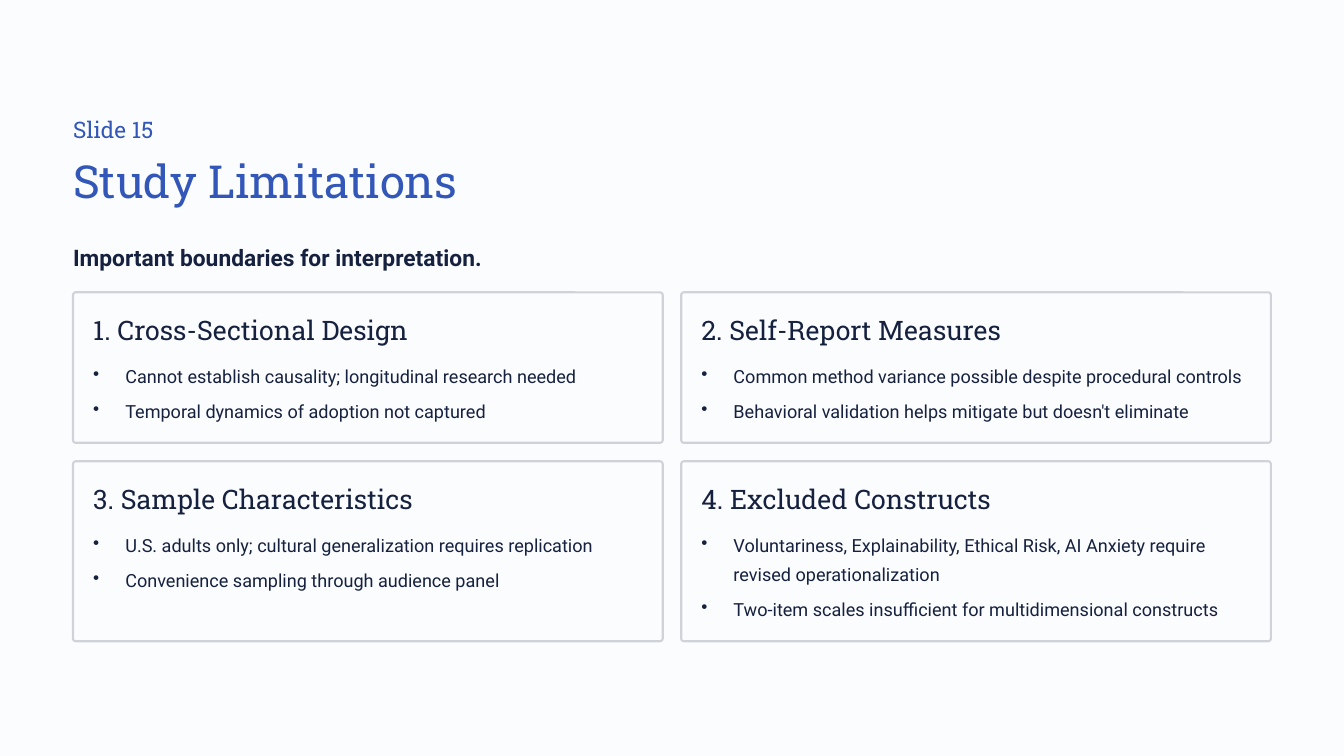
import dataclasses

import pptx
import pptx.dml.color
import pptx.enum.shapes
import pptx.enum.text
import pptx.oxml
import pptx.oxml.ns
import pptx.util

Cm = pptx.util.Cm
Pt = pptx.util.Pt


@dataclasses.dataclass(frozen=True)
class TextStyle:
    font: str
    size: float
    line: float
    color: str
    bold: bool = False


@dataclasses.dataclass(frozen=True)
class Theme:
    paper: str = "FBFCFE"
    border: str = "CFD2D8"
    label: TextStyle = TextStyle("Roboto Slab", 19.5, 24, "3257B8")
    title: TextStyle = TextStyle("Roboto Slab", 39, 48.5, "3257B8")
    lead: TextStyle = TextStyle("Roboto", 19.5, 31, "15213F", True)
    heading: TextStyle = TextStyle("Roboto Slab", 23, 29, "15213F")
    bullet: TextStyle = TextStyle("Roboto", 15.5, 25, "15213F")


THEME = Theme()

# Lengths in centimetres
LEFT = 2.21
CONTENT_WIDTH = 36.22
GRID_TOP = 8.84
GAP = 0.56
CARD_WIDTH = (CONTENT_WIDTH - GAP) / 2
PADDING = 0.61
BULLET_INDENT = 0.97

# Each row: height, then its cards as heading and bullets
CARD_ROWS = [
    (4.55, [
        ("1. Cross-Sectional Design", [
            "Cannot establish causality; longitudinal research needed",
            "Temporal dynamics of adoption not captured",
        ]),
        ("2. Self-Report Measures", [
            "Common method variance possible despite procedural controls",
            "Behavioral validation helps mitigate but doesn't eliminate",
        ]),
    ]),
    (5.44, [
        ("3. Sample Characteristics", [
            "U.S. adults only; cultural generalization requires replication",
            "Convenience sampling through audience panel",
        ]),
        ("4. Excluded Constructs", [
            "Voluntariness, Explainability, Ethical Risk, AI Anxiety require "
            "revised operationalization",
            "Two-item scales insufficient for multidimensional constructs",
        ]),
    ]),
]


def rgb(color):
    return pptx.dml.color.RGBColor.from_string(color)


def add_bullet(para):
    properties = para._p.get_or_add_pPr()
    properties.set("marL", str(Cm(BULLET_INDENT)))
    properties.set("indent", str(-Cm(BULLET_INDENT)))
    namespace = pptx.oxml.ns.nsdecls("a")
    properties.append(pptx.oxml.parse_xml(f'<a:buChar {namespace} char="•"/>'))


def write(shape, lines, style, bulleted=False):
    """Fill a shape with one left-aligned paragraph per line."""
    frame = shape.text_frame
    frame.margin_left = frame.margin_right = 0
    frame.margin_top = frame.margin_bottom = 0
    frame.word_wrap = True
    frame.auto_size = pptx.enum.text.MSO_AUTO_SIZE.NONE
    frame.vertical_anchor = pptx.enum.text.MSO_ANCHOR.TOP
    for index, line in enumerate(lines):
        para = frame.add_paragraph() if index else frame.paragraphs[0]
        para.text = line
        if bulleted:
            add_bullet(para)
        para.alignment = pptx.enum.text.PP_ALIGN.LEFT
        para.line_spacing = Pt(style.line)
        if index:
            para.space_before = Pt(5.3)
        para.font.name = style.font
        para.font.size = Pt(style.size)
        para.font.bold = style.bold
        para.font.color.rgb = rgb(style.color)


def add_text(page, left, top, width, height, lines, style, bulleted=False):
    box = page.shapes.add_textbox(Cm(left), Cm(top), Cm(width), Cm(height))
    write(box, lines, style, bulleted)


def place_title(page, text):
    title = page.shapes.title
    title.left, title.top = Cm(LEFT), Cm(4.57)
    title.width, title.height = Cm(CONTENT_WIDTH), Cm(1.73)
    write(title, [text], THEME.title)


def add_card(page, left, top, height, heading, bullets):
    card = page.shapes.add_shape(
        pptx.enum.shapes.MSO_SHAPE.ROUNDED_RECTANGLE,
        Cm(left), Cm(top), Cm(CARD_WIDTH), Cm(height))
    card.adjustments[0] = 0.08 / height
    card.shadow.inherit = False
    card.fill.solid()
    card.fill.fore_color.rgb = rgb(THEME.paper)
    card.line.color.rgb = rgb(THEME.border)
    card.line.width = Pt(1.8)

    inner_left = left + PADDING
    inner_width = CARD_WIDTH - 2 * PADDING
    body_offset = 1.98
    add_text(page, inner_left, top + PADDING, inner_width, 1.04,
             [heading], THEME.heading)
    add_text(page, inner_left, top + body_offset, inner_width,
             height - body_offset - PADDING, bullets, THEME.bullet, bulleted=True)


def main():
    deck = pptx.Presentation()
    deck.slide_width, deck.slide_height = Cm(40.64), Cm(22.86)
    page = deck.slides.add_slide(deck.slide_layouts.get_by_name("Title Only"))
    page.background.fill.solid()
    page.background.fill.fore_color.rgb = rgb(THEME.paper)

    add_text(page, LEFT, 3.48, CONTENT_WIDTH, 0.86, ["Slide 15"], THEME.label)
    place_title(page, "Study Limitations")
    add_text(page, LEFT, 7.11, CONTENT_WIDTH, 1.09,
             ["Important boundaries for interpretation."], THEME.lead)

    top = GRID_TOP
    for height, cards in CARD_ROWS:
        for column, (heading, bullets) in enumerate(cards):
            left = LEFT + column * (CARD_WIDTH + GAP)
            add_card(page, left, top, height, heading, bullets)
        top += height + GAP

    deck.save("out.pptx")


if __name__ == "__main__":
    main()
